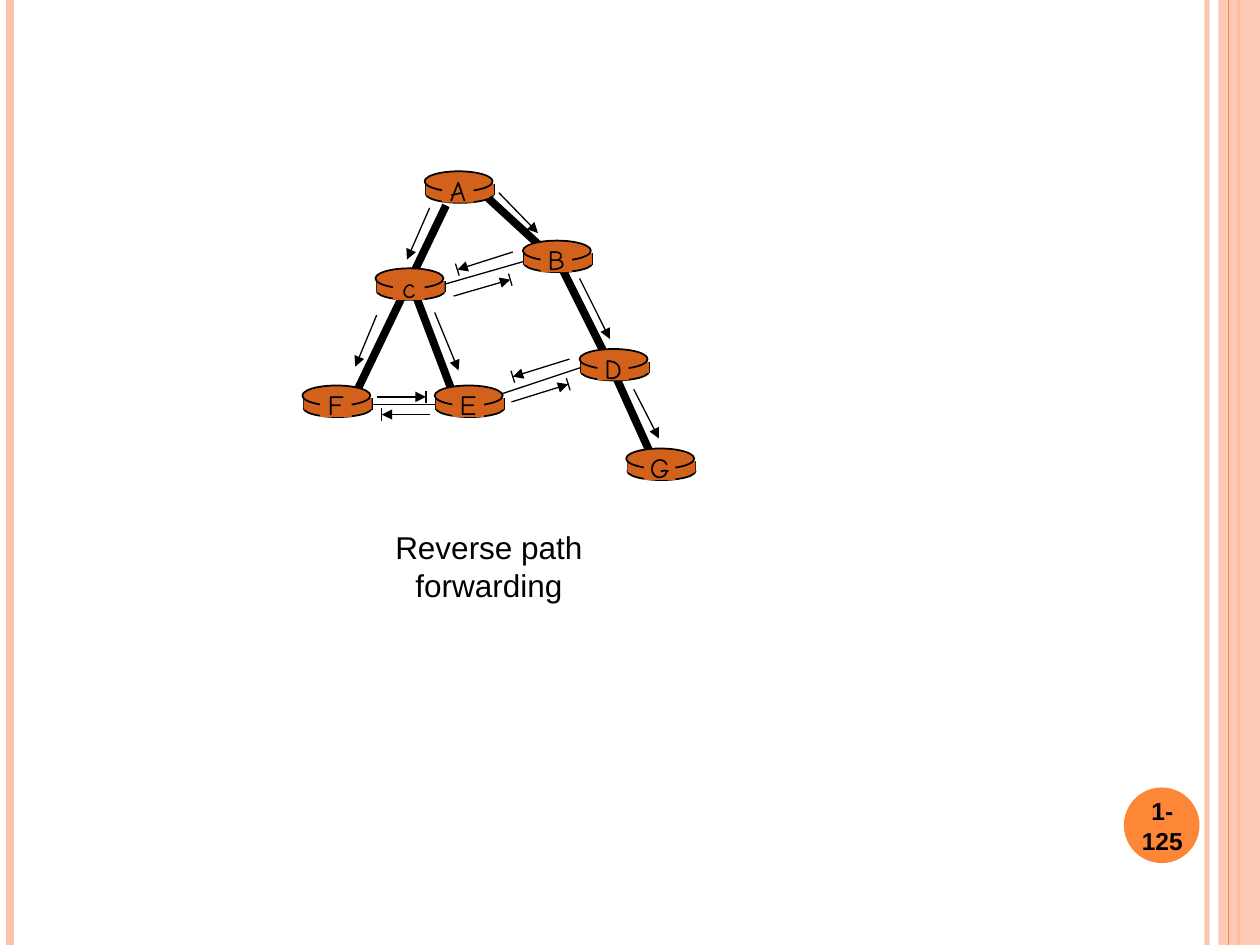
from math import hypot
from pptx import Presentation
from pptx.dml.color import RGBColor
from pptx.enum.shapes import MSO_CONNECTOR, MSO_SHAPE
from pptx.enum.text import MSO_ANCHOR, PP_ALIGN
from pptx.oxml.ns import qn
from pptx.util import Inches, Pt
from lxml.etree import SubElement

BLACK, PEACH, ORANGE, RUST = "000000", "FEC2AC", "FE8637", "D2611C"

ROUTERS = [("A", 0.97, 0.06), ("B", 1.75, 0.61), ("G", 2.57, 2.26), ("D", 2.2, 1.47),
           ("E", 1.05, 1.76), ("c", 0.58, 0.83), ("F", 0, 1.76)]
TREE_LINKS = [(2.03, 0.77, 2.4, 1.51), (2.42, 1.54, 2.79, 2.36), (1.19, 1.81, 0.89, 1.02),
              (1.46, 0.26, 1.95, 0.71), (1.14, 0.33, 0.41, 1.85)]
OTHER_LINKS = [(2.23, 1.61, 1.57, 1.83), (1.22, 1.91, 0.42, 1.91), (1.08, 0.97, 1.81, 0.76)]
FORWARDED = [(1.01, 0.35, 0.83, 0.76), (0.59, 1.2, 0.42, 1.61), (1.56, 0.23, 1.87, 0.55),
             (2.2, 0.91, 2.44, 1.39), (2.63, 1.79, 2.83, 2.18), (1.05, 1.18, 1.24, 1.64)]
BLOCKED = [(1.67, 0.7, 1.23, 0.84), (1.2, 1.05, 1.65, 0.92), (2.12, 1.55, 1.67, 1.69),
           (1.66, 1.89, 2.11, 1.75), (0.59, 1.85, 0.98, 1.85), (1.01, 1.99, 0.63, 1.99)]


def paint(fill, color, alpha=None):
    fill.solid()
    fill.fore_color.rgb = RGBColor.from_string(color)
    if alpha:
        clr = fill._xPr.find(qn("a:solidFill"))[0]
        SubElement(clr, qn("a:alpha")).set("val", str(alpha * 1000))


def add_line(shapes, x1, y1, x2, y2, width=0.75, color=BLACK, alpha=None, arrow=False):
    c = shapes.add_connector(MSO_CONNECTOR.STRAIGHT, Inches(x1), Inches(y1),
                             Inches(x2), Inches(y2))
    c.line.width = Pt(width)
    paint(c.line.fill, color, alpha)
    if arrow:
        SubElement(c.line._get_or_add_ln(), qn("a:tailEnd")).set("type", "triangle")
    SubElement(c._element.spPr, qn("a:effectLst"))


def add_solid(shapes, kind, x, y, w, h, color, outline=False, alpha=None):
    sp = shapes.add_shape(kind, Inches(x), Inches(y), Inches(w), Inches(h))
    sp.shadow.inherit = False
    paint(sp.fill, color, alpha)
    if outline:
        paint(sp.line.fill, BLACK)
        sp.line.width = Pt(1)
    else:
        sp.line.fill.background()


def add_text(shapes, text, x, y, w, h, size, font="Arial", bold=False, wrap=False,
             anchor=MSO_ANCHOR.TOP):
    tf = shapes.add_textbox(Inches(x), Inches(y), Inches(w), Inches(h)).text_frame
    tf.word_wrap = wrap
    tf.vertical_anchor = anchor
    tf.text = text
    p = tf.paragraphs[0]
    p.alignment = PP_ALIGN.CENTER
    f = p.runs[0].font
    f.name, f.size, f.bold = font, Pt(size), bold
    f.color.rgb = RGBColor.from_string(BLACK)


def add_frame(shapes, x, y, w, h):
    right, bottom = x + w, y + h

    def stripe(at, width, color, alpha=None):
        add_line(shapes, at, y, at, bottom, width, color, alpha)

    stripe(right - 0.42, 3, PEACH, 93)
    stripe(x + 0.08, 4.5, PEACH)
    stripe(right - 0.17, 1.5, ORANGE)
    add_solid(shapes, MSO_SHAPE.RECTANGLE, right - 0.33, y, 0.33, h, PEACH, alpha=87)
    stripe(right - 0.25, 0.75, ORANGE)


def add_page_number(shapes, x, y, size):
    add_solid(shapes, MSO_SHAPE.OVAL, x, y, size, size, ORANGE)
    add_text(shapes, "1-125", x - 0.03, y + 0.02, size + 0.07, size - 0.03, 14,
             bold=True, wrap=True, anchor=MSO_ANCHOR.MIDDLE)


def add_router(shapes, name, x, y, w=0.54):
    parts = shapes.add_group_shape().shapes
    left, side = x + 0.01, y + 0.1
    add_solid(parts, MSO_SHAPE.OVAL, left, y + 0.11, w, 0.14, RUST, outline=True)
    for edge in (left, left + w):
        add_line(parts, edge, side, edge, side + 0.09, 1)
    add_solid(parts, MSO_SHAPE.RECTANGLE, left, side, w, 0.09, RUST)
    add_solid(parts, MSO_SHAPE.OVAL, x, y, w, 0.16, RUST, outline=True)
    add_solid(parts, MSO_SHAPE.RECTANGLE, x + 0.14, y + 0.02, 0.25, 0.23, RUST)
    add_text(parts, name, x + 0.09, y - 0.03, 0.35, 0.37, 16, "Comic Neue")


def add_stop_bar(shapes, x1, y1, x2, y2, half=0.05):
    length = hypot(x2 - x1, y2 - y1)
    dx, dy = (y1 - y2) / length * half, (x2 - x1) / length * half
    add_line(shapes, x2 - dx, y2 - dy, x2 + dx, y2 + dy)


def add_network(shapes, x, y):
    def placed(lines):
        return [(x + x1, y + y1, x + x2, y + y2) for x1, y1, x2, y2 in lines]

    for link in placed(TREE_LINKS):
        add_line(shapes, *link, width=4.5)
    for link in placed(OTHER_LINKS):
        add_line(shapes, *link)
    for name, dx, dy in ROUTERS:
        add_router(shapes, name, x + dx, y + dy)
    for hop in placed(FORWARDED + BLOCKED):
        add_line(shapes, *hop, arrow=True)
    for hop in placed(BLOCKED):
        add_stop_bar(shapes, *hop)
    add_text(shapes, "Reverse path forwarding", x + 0.02, y + 2.84, 2.92, 0.4, 18)


def main():
    prs = Presentation()
    prs.slide_width, prs.slide_height = Inches(10), Inches(7.5)
    s = prs.slides.add_slide(prs.slide_layouts[6])
    add_frame(s.shapes, 0, 0, 10, 7.5)
    add_page_number(s.shapes, 8.92, 6.25, 0.6)
    add_network(s.shapes, 2.4, 1.3)
    prs.save("out.pptx")


if __name__ == "__main__":
    main()
